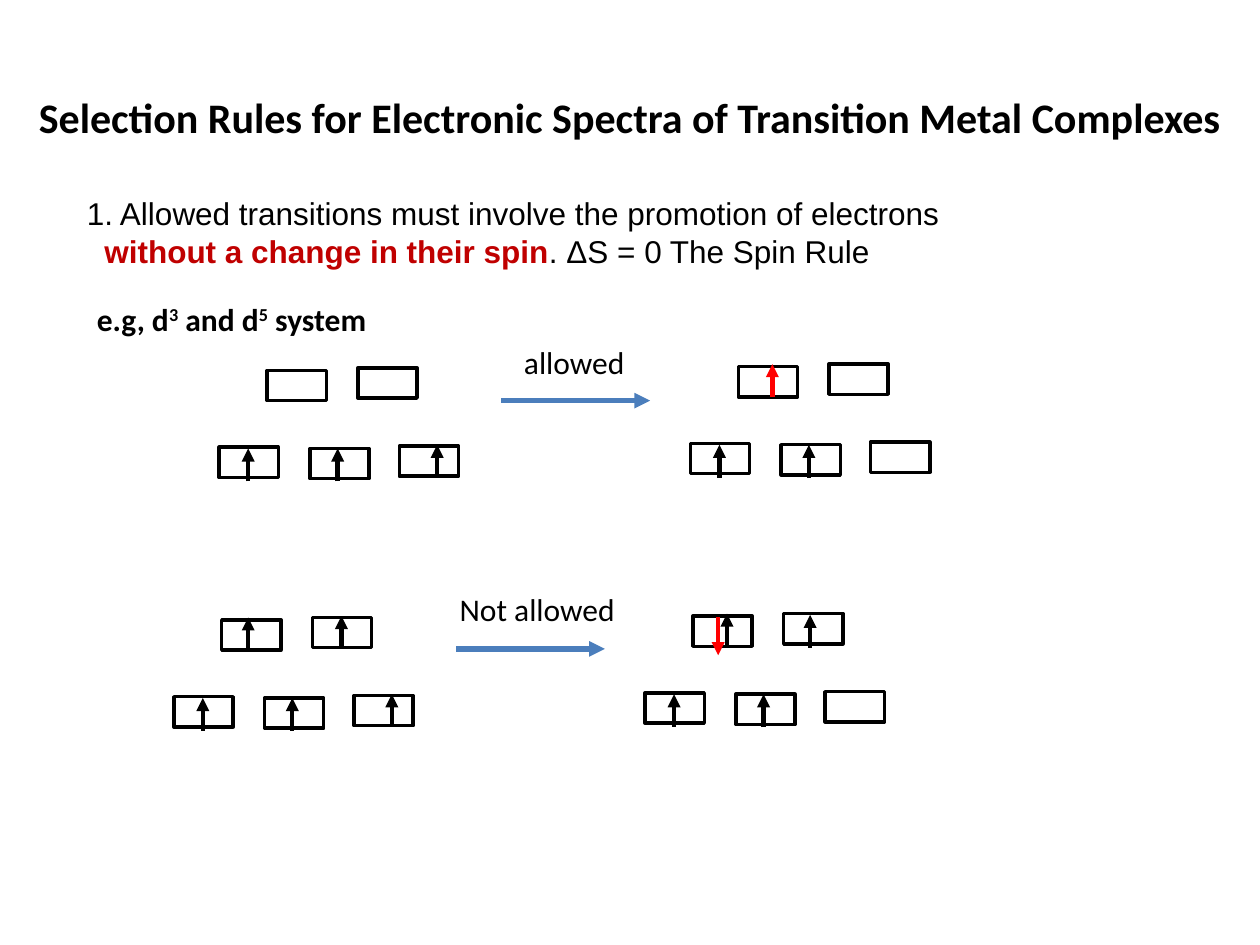
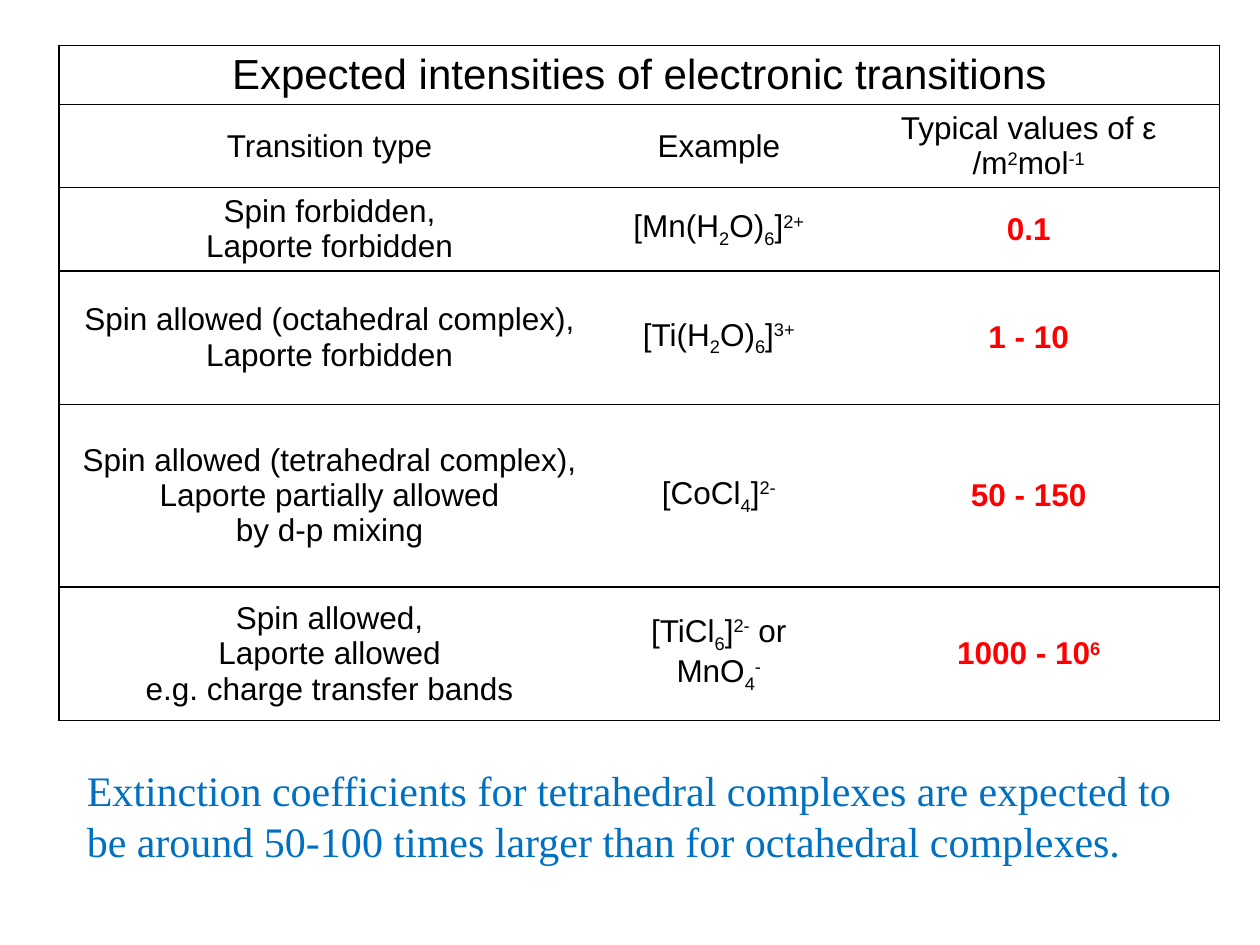
from lxml import etree
from pptx import Presentation
from pptx.dml.color import RGBColor
from pptx.enum import shapes, text
from pptx.oxml import ns
from pptx.util import Inches, Pt

COLOURS = {
    "ink": "000000",
    "paper": "FFFFFF",
    "emphasis": "C00000",
    "highlight": "FF0000",
    "transition": "4B7EBC",
    "remark": "0070C0",
}
BASELINES = {"^": "30000", "_": "-25000"}
ORBITAL_SIZE = (0.47, 0.24)
ORBITALS = [(0, 0), (0.72, 0.01), (1.43, -0.01), (0.38, -0.61), (1.1, -0.63)]
SPIN_LENGTH = 0.26
LOWER_SPINS = [(0.23, 0.01), (0.94, 0.01)]
THIRD_SPIN = (1.73, -0.02)

COLUMNS = [4.29, 1.89, 3.03]
ROWS = [0.47, 0.66, 0.66, 1.06, 1.45, 1.06]
INTENSITIES = [
    ["Expected intensities of electronic transitions", "", ""],
    ["Transition type", "Example", "Typical values of ε /m|^2|mol|^-1"],
    ["Spin forbidden,\nLaporte forbidden", "[Mn(H|_2|O)|_6|]|^2+", "0.1"],
    ["Spin allowed (octahedral complex),\nLaporte forbidden",
     "[Ti(H|_2|O)|_6|]|^3+", "1 - 10"],
    ["Spin allowed (tetrahedral complex),\nLaporte partially allowed\nby d-p mixing",
     "[CoCl|_4|]|^2-", "50 - 150"],
    ["Spin allowed,\nLaporte allowed\ne.g. charge transfer bands",
     "[TiCl|_6|]|^2-| or MnO|_4|^-", "1000 - 10|^6"],
]


def colour(name):
    return RGBColor.from_string(COLOURS[name])


def apply(target, values):
    for name, value in values.items():
        setattr(target, name, value)


def add_span(para, words, font, size, tint, bold, baseline=None):
    span = para.add_run()
    span.text = words
    apply(span.font, {"name": font, "size": Pt(size), "bold": bold})
    span.font.color.rgb = colour(tint)
    if baseline:
        span._r.get_or_add_rPr().set("baseline", baseline)


def write(para, content, font="Arial", size=18, tint="ink", bold=False):
    for piece in content.split("|"):
        mark = piece[:1]
        if mark in BASELINES:
            add_span(para, piece[1:], font, size, tint, bold, BASELINES[mark])
        elif mark == "*":
            add_span(para, piece[1:], font, size, "emphasis", True)
        else:
            for number, line in enumerate(piece.split("\n")):
                if number:
                    para.add_line_break()
                if line:
                    add_span(para, line, font, size, tint, bold)


def add_text(page, area, content, wrap=True, **style):
    box = page.shapes.add_textbox(*map(Inches, area))
    box.text_frame.word_wrap = wrap
    para = box.text_frame.paragraphs[0]
    write(para, content, **style)
    return para


def number_paragraph(para, hang):
    properties = para._p.get_or_add_pPr()
    properties.set("marL", str(Inches(hang)))
    properties.set("indent", str(-Inches(hang)))
    bullet = etree.SubElement(properties, ns.qn("a:buAutoNum"))
    bullet.set("type", "arabicPeriod")


def add_arrow(page, start, end, tint="ink", width=2.5):
    arrow = page.shapes.add_connector(
        shapes.MSO_CONNECTOR.STRAIGHT, *map(Inches, (*start, *end)))
    arrow.line.color.rgb = colour(tint)
    arrow.line.width = Pt(width)
    head = etree.SubElement(arrow.line._get_or_add_ln(), ns.qn("a:tailEnd"))
    head.set("type", "triangle")
    etree.SubElement(arrow._element.spPr, ns.qn("a:effectLst"))


def add_orbital(page, left, top):
    orbital = page.shapes.add_shape(
        shapes.MSO_SHAPE.RECTANGLE, *map(Inches, (left, top, *ORBITAL_SIZE)))
    orbital.shadow.inherit = False
    orbital.fill.background()
    orbital.line.color.rgb = colour("ink")
    orbital.line.width = Pt(2)


def add_spin(page, x, tip, tint="ink"):
    add_arrow(page, (x, tip + SPIN_LENGTH), (x, tip), tint)


def add_configuration(page, left, top, upper_spins):
    for across, down in ORBITALS:
        add_orbital(page, left + across, top + down)
    for across, down in LOWER_SPINS + upper_spins:
        add_spin(page, left + across, top + down)


def add_transition(page, left, top, label, label_area):
    add_arrow(page, (left, top), (left + 1.18, top), "transition", 3)
    add_text(page, label_area, label, wrap=False, font="Calibri")


def set_borders(cell, sides):
    properties = cell._tc.get_or_add_tcPr()
    for side in "LRTB":
        line = etree.SubElement(properties, ns.qn(f"a:ln{side}"), w=str(Pt(1)))
        if side in sides:
            fill = etree.SubElement(line, ns.qn("a:solidFill"))
            etree.SubElement(fill, ns.qn("a:srgbClr"), val=COLOURS["ink"])
        else:
            etree.SubElement(line, ns.qn("a:noFill"))


def fill_cell(cell, content, sides, **style):
    set_borders(cell, sides)
    cell.fill.solid()
    cell.fill.fore_color.rgb = colour("paper")
    apply(cell, {
        "vertical_anchor": text.MSO_ANCHOR.MIDDLE,
        "margin_left": Inches(0.07), "margin_right": Inches(0.07),
        "margin_top": Inches(0.03), "margin_bottom": Inches(0.03),
    })
    para = cell.text_frame.paragraphs[0]
    para.alignment = text.PP_ALIGN.CENTER
    write(para, content, **style)


def add_intensity_table(page):
    area = map(Inches, (0.47, 0.36, sum(COLUMNS), sum(ROWS)))
    table = page.shapes.add_table(len(ROWS), len(COLUMNS), *area).table
    apply(table, {"first_row": False, "horz_banding": False})
    for column, width in zip(table.columns, COLUMNS):
        column.width = Inches(width)
    for row, height in zip(table.rows, ROWS):
        row.height = Inches(height)
    table.cell(0, 0).merge(table.cell(0, 2))
    for r, contents in enumerate(INTENSITIES):
        for c, content in enumerate(contents):
            sides = "TB" + ("L" if c == 0 else "") + ("R" if c == 2 or r == 0 else "")
            style = {"size": 24} if r == 0 else {}
            if r > 1 and c == 2:
                style = {"tint": "highlight", "bold": True}
            fill_cell(table.cell(r, c), content, sides, **style)


def build_selection_rules(page):
    add_text(page, (0.21, 0.68, 9.77, 0.5),
             "Selection Rules for Electronic Spectra of Transition Metal Complexes",
             wrap=False, font="Calibri", size=24, bold=True)
    rule = add_text(page, (0.59, 1.49, 8.82, 2.83),
                    " Allowed transitions must involve the promotion of electrons\n"
                    "|*without a change in their spin|. ΔS = 0 The Spin Rule")
    number_paragraph(rule, 0.14)
    add_text(page, (0.67, 2.33, 2.39, 0.4), "e.g, d|^3| and d|^5| system",
             wrap=False, font="Calibri", bold=True)

    add_configuration(page, 1.74, 3.55, [THIRD_SPIN])
    add_configuration(page, 5.48, 3.52, [])
    add_spin(page, 6.13, 2.89, "highlight")
    add_transition(page, 3.98, 3.18, "allowed", (4.06, 2.67, 1.01, 0.4))

    add_configuration(page, 1.38, 5.53, [THIRD_SPIN, (0.59, -0.63), (1.33, -0.64)])
    add_configuration(page, 5.12, 5.5, [(0.65, -0.63), (1.31, -0.62)])
    add_arrow(page, (5.7, 4.9), (5.7, 5.2), "highlight")
    add_transition(page, 3.62, 5.15, "Not allowed", (3.55, 4.63, 1.45, 0.4))


def build_intensities(page):
    add_text(page, (0.59, 6.02, 8.98, 0.91),
             "Extinction coefficients for tetrahedral complexes are expected to "
             "be around 50-100 times larger than for octahedral complexes.",
             font="Times New Roman", size=24, tint="remark")
    add_intensity_table(page)


def main():
    deck = Presentation()
    apply(deck, {"slide_width": Inches(10), "slide_height": Inches(7.5)})
    for build in (build_selection_rules, build_intensities):
        build(deck.slides.add_slide(deck.slide_layouts[6]))
    deck.save("out.pptx")


if __name__ == "__main__":
    main()
